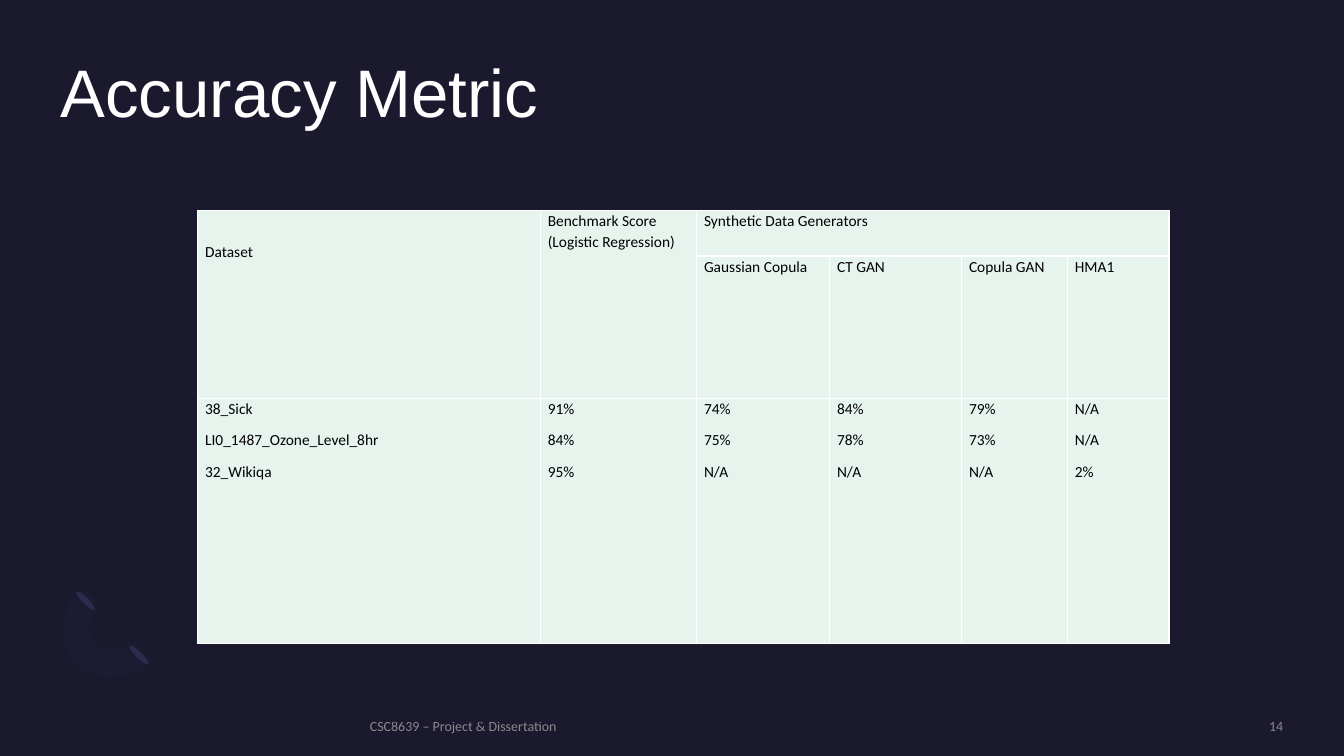
from dataclasses import dataclass

import lxml.etree
import pptx
import pptx.dml.color
import pptx.enum.shapes
import pptx.enum.text
import pptx.oxml.ns
import pptx.util

Pt = pptx.util.Pt
ALIGN = pptx.enum.text.PP_ALIGN
ANCHOR = pptx.enum.text.MSO_ANCHOR
qn = pptx.oxml.ns.qn

COLORS = {
    "background": "1B192E",
    "petal": "2C284A",
    "crescent": "7771B2",
    "title": "FFFFFF",
    "footer": "A6A6A6",
    "cell": "E7F4ED",
    "cell_text": "000000",
    "border": "FFFFFF",
}


@dataclass
class Label:
    text: str
    left: float
    top: float
    width: float
    height: float
    size: float
    font: str
    color: str
    align: ALIGN = ALIGN.LEFT
    anchor: ANCHOR = ANCHOR.MIDDLE
    line_spacing: float = 1.0
    opacity: int = 100


@dataclass
class Petal:
    left: float
    top: float


@dataclass
class Header:
    text: str
    row: int
    column: int
    last_row: int
    last_column: int
    margin_top: float = 0


LABELS = [
    Label("Accuracy Metric", 43.2, 42.5, 873.4, 58.3, 48, "Arial", "title",
          anchor=ANCHOR.TOP, line_spacing=0.9),
    Label("CSC8639 – Project & Dissertation", 264.2, 512.6, 502.6, 12.2, 10,
          "Calibri", "footer", opacity=80),
    Label("14", 783.4, 512.6, 133.2, 12.2, 10, "Calibri", "footer",
          align=ALIGN.RIGHT, opacity=80),
]
PETALS = [Petal(97.2, 458.6), Petal(59, 419.8)]
CRESCENT_START = (54.7, 474.5)
CRESCENT_CURVES = [
    [(40.3, 460.1), (41.8, 435.6), (58.3, 419)],
    [(71.3, 432)],
    [(62.6, 439.9), (61.9, 452.9), (69.1, 459.4)],
    [(76.3, 466.6), (88.6, 465.8), (97.2, 457.9)],
    [(109.4, 470.9)],
    [(93.6, 486.7), (68.4, 488.9), (54.7, 474.5)],
]
HEADERS = [
    Header("Dataset", 0, 0, 1, 0, margin_top=22.3),
    Header("Benchmark Score (Logistic Regression)", 0, 1, 1, 1),
    Header("Synthetic Data Generators", 0, 2, 0, 5),
    Header("Gaussian Copula", 1, 2, 1, 2),
    Header("CT GAN", 1, 3, 1, 3),
    Header("Copula GAN", 1, 4, 1, 4),
    Header("HMA1", 1, 5, 1, 5),
]
SCORES = [
    ("38_Sick", "91%", "74%", "84%", "79%", "N/A"),
    ("LI0_1487_Ozone_Level_8hr", "84%", "75%", "78%", "73%", "N/A"),
    ("32_Wikiqa", "95%", "N/A", "N/A", "N/A", "2%"),
]
COLUMN_WIDTHS = [244.8, 111.6, 95, 94.3, 75.6, 72.7]
ROW_HEIGHTS = [32.4, 101.5, 175]


def rgb(name: str) -> pptx.dml.color.RGBColor:
    return pptx.dml.color.RGBColor.from_string(COLORS[name])


def paint(fill, color: str) -> None:
    fill.solid()
    fill.fore_color.rgb = rgb(color)


def set_opacity(element, percent: int) -> None:
    for color in element.iter(qn("a:srgbClr")):
        lxml.etree.SubElement(color, qn("a:alpha"), val=str(percent * 1000))


def draw_label(slide, label: Label) -> None:
    box = slide.shapes.add_textbox(
        Pt(label.left), Pt(label.top), Pt(label.width), Pt(label.height))
    frame = box.text_frame
    frame.word_wrap = True
    frame.vertical_anchor = label.anchor
    frame.margin_left = frame.margin_right = 0
    frame.margin_top = frame.margin_bottom = 0
    paragraph = frame.paragraphs[0]
    paragraph.text = label.text
    paragraph.alignment = label.align
    paragraph.line_spacing = label.line_spacing
    paragraph.font.size = Pt(label.size)
    paragraph.font.name = label.font
    paragraph.font.color.rgb = rgb(label.color)
    if label.opacity < 100:
        run_font = paragraph.runs[0].font
        run_font.color.rgb = rgb(label.color)
        set_opacity(box.element, label.opacity)


def draw_petal(slide, petal: Petal) -> None:
    ellipse = slide.shapes.add_shape(
        pptx.enum.shapes.MSO_SHAPE.OVAL,
        Pt(petal.left), Pt(petal.top), Pt(4.3), Pt(18.7))
    ellipse.rotation = 135
    ellipse.shadow.inherit = False
    ellipse.line.fill.background()
    paint(ellipse.fill, "petal")


def bezier(points: list, t: float) -> tuple:
    while len(points) > 1:
        points = [(ax + (bx - ax) * t, ay + (by - ay) * t)
                  for (ax, ay), (bx, by) in zip(points, points[1:])]
    return points[0]


def draw_crescent(slide) -> None:
    outline = [CRESCENT_START]
    for curve in CRESCENT_CURVES:
        steps = 12 if len(curve) == 3 else 1
        controls = [outline[-1], *curve]
        outline += [bezier(controls, step / steps) for step in range(1, steps + 1)]
    builder = slide.shapes.build_freeform(*outline[0], scale=Pt(1))
    builder.add_line_segments(outline[1:], close=True)
    crescent = builder.convert_to_shape()
    crescent.shadow.inherit = False
    crescent.line.fill.background()
    paint(crescent.fill, "crescent")
    set_opacity(crescent.fill._xPr, 3)


def style_cell(cell) -> None:
    paint(cell.fill, "cell")
    cell.margin_left = cell.margin_right = Pt(5.4)
    cell.margin_top = cell.margin_bottom = 0
    properties = cell._tc.get_or_add_tcPr()
    for position, side in enumerate(("lnL", "lnR", "lnT", "lnB")):
        line = lxml.etree.Element(qn(f"a:{side}"), w=str(Pt(1)))
        solid = lxml.etree.SubElement(line, qn("a:solidFill"))
        lxml.etree.SubElement(solid, qn("a:srgbClr"), val=COLORS["border"])
        properties.insert(position, line)


def write_cell(cell, text: str) -> None:
    cell.text = text
    for paragraph in cell.text_frame.paragraphs:
        paragraph.line_spacing = 1.07
        paragraph.space_after = Pt(8)
        paragraph.font.size = Pt(11)
        paragraph.font.name = "Calibri"
        paragraph.font.color.rgb = rgb("cell_text")


def draw_accuracy_table(slide) -> None:
    accuracy = slide.shapes.add_table(
        len(ROW_HEIGHTS), len(COLUMN_WIDTHS), Pt(141.1), Pt(150.5),
        Pt(sum(COLUMN_WIDTHS)), Pt(sum(ROW_HEIGHTS))).table
    accuracy.first_row = accuracy.horz_banding = False
    for column, width in zip(accuracy.columns, COLUMN_WIDTHS):
        column.width = Pt(width)
    for row, height in zip(accuracy.rows, ROW_HEIGHTS):
        row.height = Pt(height)
    for cell in accuracy.iter_cells():
        style_cell(cell)
    for header in HEADERS:
        cell = accuracy.cell(header.row, header.column)
        last = accuracy.cell(header.last_row, header.last_column)
        if (header.row, header.column) != (header.last_row, header.last_column):
            cell.merge(last)
        write_cell(cell, header.text)
        cell.margin_top = Pt(header.margin_top)
    for column, values in enumerate(zip(*SCORES)):
        write_cell(accuracy.cell(2, column), "\n".join(values))


def main() -> None:
    deck = pptx.Presentation()
    deck.slide_width, deck.slide_height = Pt(960), Pt(540)
    slide = deck.slides.add_slide(deck.slide_layouts[6])
    paint(slide.background.fill, "background")
    for petal in PETALS:
        draw_petal(slide, petal)
    draw_crescent(slide)
    for label in LABELS:
        draw_label(slide, label)
    draw_accuracy_table(slide)
    deck.save("out.pptx")


if __name__ == "__main__":
    main()
